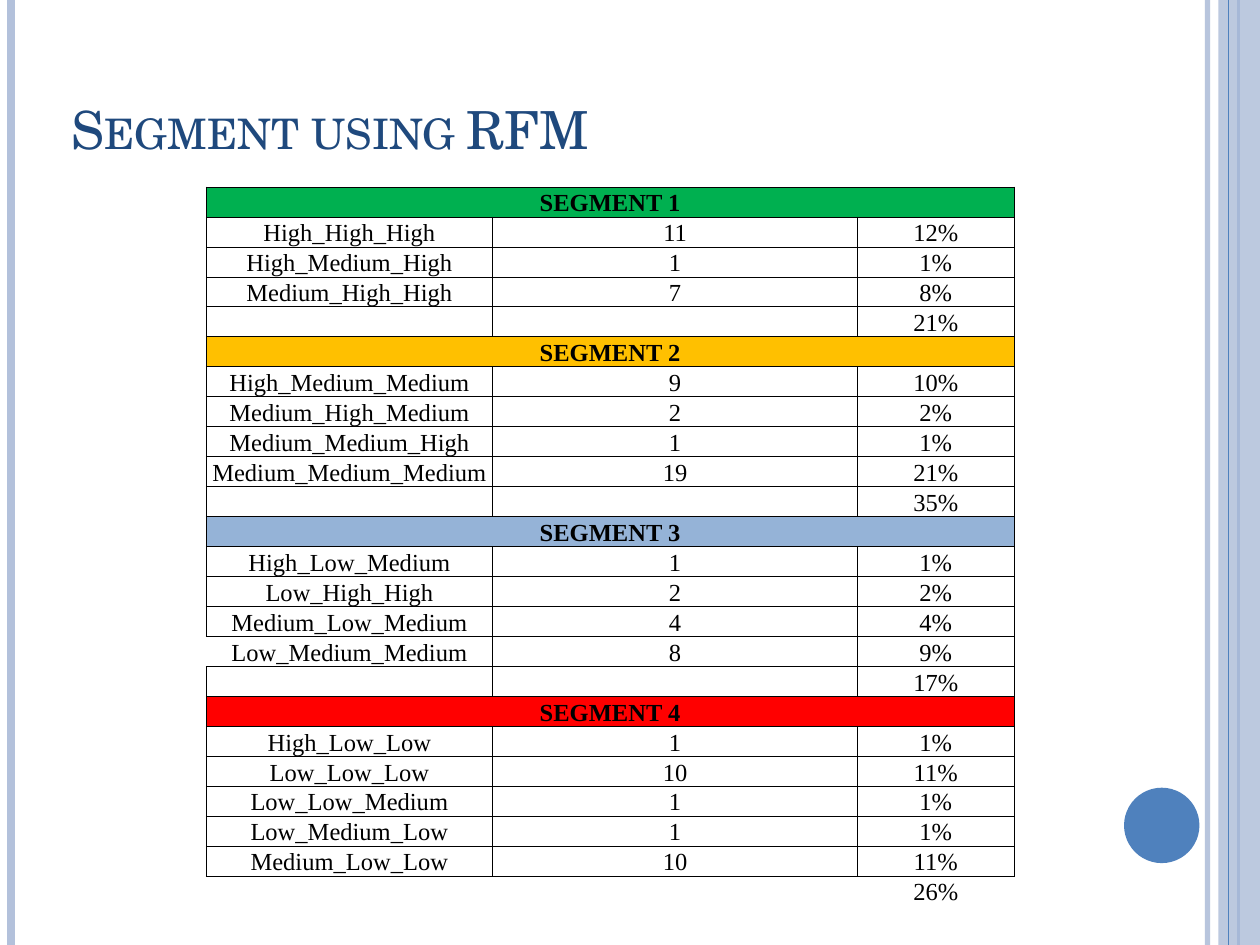
from dataclasses import dataclass

from lxml import etree
from pptx import Presentation
from pptx.dml.color import RGBColor
from pptx.enum.shapes import MSO_CONNECTOR, MSO_SHAPE
from pptx.enum.text import MSO_ANCHOR, PP_ALIGN
from pptx.oxml.ns import qn
from pptx.util import Cm, Pt

STRAIGHT = MSO_CONNECTOR.STRAIGHT
RECTANGLE, OVAL = MSO_SHAPE.RECTANGLE, MSO_SHAPE.OVAL
BOTTOM, CENTER = MSO_ANCHOR.BOTTOM, PP_ALIGN.CENTER


@dataclass(frozen=True)
class Theme:
    """Colours, fonts and type sizes of the slide."""
    title: str = "1F497D"
    accent: str = "4F81BD"
    pale: str = "B3C1DB"
    ink: str = "000000"
    title_font: str = "TeX Gyre Schola"
    table_font: str = "Times New Roman"
    title_size: int = 30
    table_size: int = 14
    grid_width: float = 0.5


THEME = Theme()
SLIDE_WIDTH, SLIDE_HEIGHT = 25.4, 19.05
COLUMN_WIDTHS = (5.77, 7.36, 3.15)
TABLE_HEIGHT = 14.01
OPEN_LEFT = "Low_Medium_Medium"
SEGMENTS = [
    ("SEGMENT 1", "00B050", [
        ("High_High_High", "11", "12%"),
        ("High_Medium_High", "1", "1%"),
        ("Medium_High_High", "7", "8%"),
    ], "21%"),
    ("SEGMENT 2", "FFC000", [
        ("High_Medium_Medium", "9", "10%"),
        ("Medium_High_Medium", "2", "2%"),
        ("Medium_Medium_High", "1", "1%"),
        ("Medium_Medium_Medium", "19", "21%"),
    ], "35%"),
    ("SEGMENT 3", "95B3D7", [
        ("High_Low_Medium", "1", "1%"),
        ("Low_High_High", "2", "2%"),
        ("Medium_Low_Medium", "4", "4%"),
        (OPEN_LEFT, "8", "9%"),
    ], "17%"),
    ("SEGMENT 4", "FF0000", [
        ("High_Low_Low", "1", "1%"),
        ("Low_Low_Low", "10", "11%"),
        ("Low_Low_Medium", "1", "1%"),
        ("Low_Medium_Low", "1", "1%"),
        ("Medium_Low_Low", "10", "11%"),
    ], "26%"),
]


def rgb(colour):
    """Turn a hex string into a colour."""
    return RGBColor.from_string(colour)


def set_opacity(element, percent):
    """Make the solid colour inside an element partly transparent."""
    colour = next(element.iter(qn("a:srgbClr")))
    etree.SubElement(colour, qn("a:alpha")).set("val", str(percent * 1000))


def style_run(run, font, size, colour, bold=False):
    """Give a run its font, size, colour and weight."""
    run.font.name = font
    run.font.size = Pt(size)
    run.font.color.rgb = rgb(colour)
    run.font.bold = bold


def add_stripe(slide, x, colour, width, opacity=100):
    """Draw a vertical line over the full height of the slide."""
    stripe = slide.shapes.add_connector(STRAIGHT, Cm(x), Cm(0), Cm(x), Cm(SLIDE_HEIGHT))
    stripe.line.color.rgb = rgb(colour)
    stripe.line.width = Pt(width)
    properties = stripe._element.spPr
    if opacity < 100:
        set_opacity(properties, opacity)
    etree.SubElement(properties, qn("a:effectLst"))


def add_plain_shape(slide, kind, left, top, width, height, colour, opacity=100):
    """Draw a filled shape without outline or shadow."""
    shape = slide.shapes.add_shape(kind, Cm(left), Cm(top), Cm(width), Cm(height))
    shape.shadow.inherit = False
    shape.fill.solid()
    shape.fill.fore_color.rgb = rgb(colour)
    shape.line.fill.background()
    if opacity < 100:
        set_opacity(shape._element.spPr, opacity)


def add_title(slide, text):
    """Write the slide title in small capitals."""
    frame = slide.shapes.add_textbox(Cm(1.19), Cm(1.19), Cm(20.75), Cm(2.16)).text_frame
    frame.word_wrap = True
    frame.vertical_anchor = BOTTOM
    frame.text = text
    run = frame.paragraphs[0].runs[0]
    style_run(run, THEME.title_font, THEME.title_size, THEME.title)
    run._r.get_or_add_rPr().set("cap", "small")


def set_borders(cell, sides):
    """Rule the named sides of a cell and clear the others."""
    properties = cell._tc.get_or_add_tcPr()
    for side in "LRTB":
        border = etree.SubElement(properties, qn(f"a:ln{side}"))
        border.set("w", str(Pt(THEME.grid_width)))
        if side in sides:
            fill = etree.SubElement(border, qn("a:solidFill"))
            etree.SubElement(fill, qn("a:srgbClr")).set("val", THEME.ink)
        else:
            etree.SubElement(border, qn("a:noFill"))


def fill_cell(cell, text, sides="LRTB", colour=None):
    """Write one table cell; a coloured cell is a bold heading."""
    set_borders(cell, sides)
    cell.margin_left = cell.margin_right = cell.margin_top = Cm(0.01)
    cell.margin_bottom = Cm(0)
    cell.vertical_anchor = BOTTOM
    if colour:
        cell.fill.solid()
        cell.fill.fore_color.rgb = rgb(colour)
    else:
        cell.fill.background()
    paragraph = cell.text_frame.paragraphs[0]
    paragraph.text = text
    paragraph.alignment = CENTER
    for run in paragraph.runs:
        style_run(run, THEME.table_font, THEME.table_size, THEME.ink, bool(colour))
    if not text:
        end = etree.SubElement(paragraph._p, qn("a:endParaRPr"))
        end.set("sz", str(THEME.table_size * 100))
        etree.SubElement(end, qn("a:latin")).set("typeface", THEME.table_font)


def add_segment_table(slide):
    """Build the table of segments, their members and their totals."""
    rows = []
    for heading, colour, members, total in SEGMENTS:
        rows.append(((heading, "", ""), colour))
        rows += [(values, None) for values in [*members, ("", "", total)]]
    table = slide.shapes.add_table(
        len(rows), len(COLUMN_WIDTHS), Cm(4.16), Cm(3.77),
        Cm(sum(COLUMN_WIDTHS)), Cm(TABLE_HEIGHT)).table
    table.first_row = table.horz_banding = False
    for column, width in zip(table.columns, COLUMN_WIDTHS):
        column.width = Cm(width)
    for index, (values, colour) in enumerate(rows):
        table.rows[index].height = Cm(TABLE_HEIGHT / len(rows))
        for position, text in enumerate(values):
            sides = "T" if index == len(rows) - 1 else "LRTB"
            if text == OPEN_LEFT:
                sides = "RTB"
            fill_cell(table.cell(index, position), text, sides, colour)
        if colour:
            table.cell(index, 0).merge(table.cell(index, len(values) - 1))


def main():
    """Build and save the slide."""
    presentation = Presentation()
    presentation.slide_width, presentation.slide_height = Cm(SLIDE_WIDTH), Cm(SLIDE_HEIGHT)
    slide = presentation.slides.add_slide(presentation.slide_layouts[6])
    add_stripe(slide, 24.34, THEME.pale, 3, 93)
    add_stripe(slide, 0.22, THEME.pale, 4.5)
    add_stripe(slide, 24.97, THEME.accent, 1.5)
    add_plain_shape(slide, RECTANGLE, 24.56, 0, 0.84, SLIDE_HEIGHT, THEME.pale, 87)
    add_stripe(slide, 24.76, THEME.accent, 0.75)
    add_plain_shape(slide, OVAL, 22.66, 15.88, 1.52, 1.52, THEME.accent)
    add_title(slide, "Segment using RFM")
    add_segment_table(slide)
    presentation.save("out.pptx")


if __name__ == "__main__":
    main()
